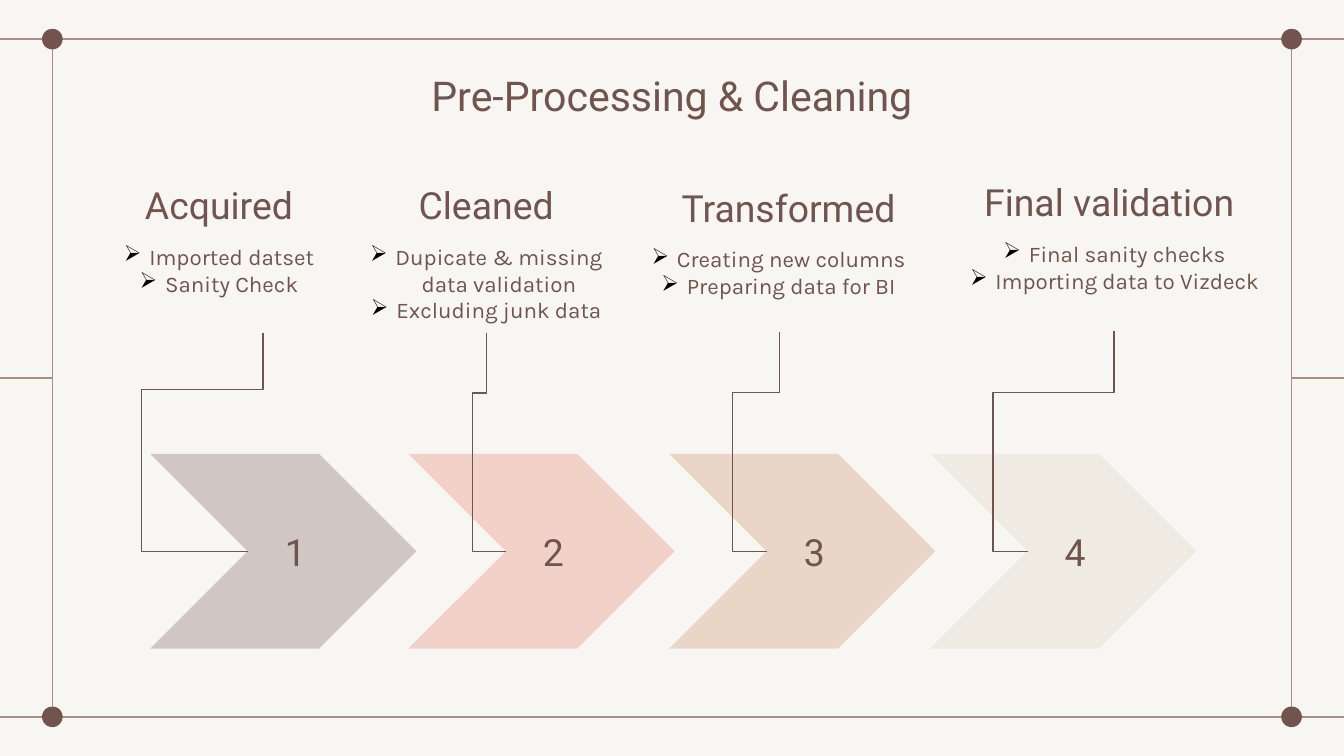
from dataclasses import dataclass

from lxml import etree
from pptx import Presentation
from pptx import util as u
from pptx.dml.color import RGBColor
from pptx.enum import shapes, text
from pptx.oxml import ns


@dataclass(frozen=True)
class Theme:
    ground: str = "F8F6F2"
    ink: str = "70544D"
    frame: str = "A78D84"
    bullet: str = "000000"
    heading_font: str = "Roboto"
    body_font: str = "Karla"
    title_size: int = 22
    heading_size: int = 20
    body_size: int = 12
    line_width: float = 0.75
    inset: float = 0.25
    indent: float = 0.48


@dataclass(frozen=True)
class Stage:
    heading: str
    items: tuple
    heading_box: tuple
    body_box: tuple
    chevron_left: float
    color: str
    route: tuple


class Painter:
    def __init__(self, page, theme):
        self.page = page
        self.theme = theme
        page.background.fill.solid()
        page.background.fill.fore_color.rgb = RGBColor.from_string(theme.ground)

    def stroke(self, connector, color):
        connector.line.color.rgb = RGBColor.from_string(color)
        connector.line.width = u.Pt(self.theme.line_width)
        etree.SubElement(connector._element.spPr, ns.qn("a:effectLst"))

    def line(self, x1, y1, x2, y2):
        connector = self.page.shapes.add_connector(
            shapes.MSO_CONNECTOR.STRAIGHT, u.Cm(x1), u.Cm(y1), u.Cm(x2), u.Cm(y2))
        self.stroke(connector, self.theme.frame)

    def elbow(self, start, turn, end):
        (x1, y1), (turn_x, turn_y), (x2, y2) = start, turn, end
        half_run, half_rise = (y2 - y1) / 2, abs(x2 - x1) / 2
        mid_x, mid_y = (x1 + x2) / 2, (y1 + y2) / 2
        rightward = x2 > x1
        side = -1 if rightward else 1
        connector = self.page.shapes.add_connector(
            shapes.MSO_CONNECTOR.ELBOW,
            u.Cm(mid_x - side * half_run), u.Cm(mid_y - half_rise),
            u.Cm(mid_x + side * half_run), u.Cm(mid_y + half_rise))
        properties = connector._element.spPr
        degrees = 270 if rightward else 90
        properties.find(ns.qn("a:xfrm")).set("rot", str(degrees * 60000))
        geometry = properties.find(ns.qn("a:prstGeom"))
        geometry.set("prst", "bentConnector4")
        guides = geometry.find(ns.qn("a:avLst"))
        if guides is None:
            guides = etree.SubElement(geometry, ns.qn("a:avLst"))
        ratios = (turn_y - y1) / (y2 - y1), (x1 - turn_x) / (x1 - x2)
        for number, ratio in enumerate(ratios, 1):
            etree.SubElement(guides, ns.qn("a:gd"), name=f"adj{number}",
                             fmla=f"val {round(ratio * 100000)}")
        self.stroke(connector, self.theme.ink)

    def shape(self, kind, left, top, width, height, color):
        shape = self.page.shapes.add_shape(
            kind, u.Cm(left), u.Cm(top), u.Cm(width), u.Cm(height))
        shape.shadow.inherit = False
        shape.fill.solid()
        shape.fill.fore_color.rgb = RGBColor.from_string(color)
        shape.line.fill.background()
        return shape

    def dot(self, x, y, size):
        self.shape(shapes.MSO_SHAPE.OVAL, x - size / 2, y - size / 2,
                   size, size, self.theme.ink)

    def chevron(self, left, top, width, height, color, label):
        shape = self.shape(shapes.MSO_SHAPE.CHEVRON, left, top, width, height, color)
        self.fill_text(shape.text_frame, [label], self.theme.heading_font,
                       self.theme.heading_size, text.MSO_ANCHOR.MIDDLE, text.PP_ALIGN.RIGHT)

    def textbox(self, place):
        box = self.page.shapes.add_textbox(*(u.Cm(length) for length in place))
        return box.text_frame

    def heading(self, words, place, size, anchor):
        self.fill_text(self.textbox(place), [words], self.theme.heading_font, size, anchor)

    def bullets(self, items, place):
        self.fill_text(self.textbox(place), items, self.theme.body_font,
                       self.theme.body_size, text.MSO_ANCHOR.TOP, bulleted=True)

    def fill_text(self, frame, lines, font, size, anchor,
                  align=text.PP_ALIGN.CENTER, bulleted=False):
        frame.word_wrap = True
        frame.vertical_anchor = anchor
        frame.margin_left = frame.margin_right = u.Cm(self.theme.inset)
        frame.margin_top = frame.margin_bottom = u.Cm(self.theme.inset)
        for index, words in enumerate(lines):
            para = frame.add_paragraph() if index else frame.paragraphs[0]
            para.text = words
            para.alignment = align
            if bulleted:
                self.mark(para)
            para.font.name = font
            para.font.size = u.Pt(size)
            para.font.color.rgb = RGBColor.from_string(self.theme.ink)

    def mark(self, para):
        properties = para._p.get_or_add_pPr()
        indent = u.Cm(self.theme.indent)
        properties.set("marL", str(indent))
        properties.set("indent", str(-indent))
        color = etree.SubElement(properties, ns.qn("a:buClr"))
        etree.SubElement(color, ns.qn("a:srgbClr"), val=self.theme.bullet)
        etree.SubElement(properties, ns.qn("a:buChar"), char="➢")


WIDTH, HEIGHT = 25.4, 14.29
FRAME_X, FRAME_Y, DOT = 0.99, 0.74, 0.39
CHEVRON_TOP, CHEVRON_WIDTH, CHEVRON_HEIGHT = 8.58, 5.03, 3.68

STAGES = (
    Stage("Acquired", ("Imported datset", "Sanity Check"),
          (1.6, 3.02, 5.08, 1.52), (1.6, 4.34, 5.08, 1.96),
          2.84, "D0C6C3", ((4.97, 6.3), (2.68, 7.36))),
    Stage("Cleaned", ("Dupicate & missing data validation", "Excluding junk data"),
          (6.65, 3.02, 5.08, 1.52), (6.65, 4.34, 5.08, 1.96),
          7.72, "F1D1C8", ((9.19, 6.3), (8.93, 7.43))),
    Stage("Transformed", ("Creating new columns", "Preparing data for BI"),
          (12.01, 3.12, 5.79, 1.47), (12.01, 4.39, 5.41, 1.88),
          12.65, "EAD6C6", ((14.73, 6.27), (13.84, 7.42))),
    Stage("Final validation", ("Final sanity checks", "Importing data to Vizdeck"),
          (18.08, 2.97, 5.77, 1.52), (18.03, 4.29, 6.07, 1.96),
          17.58, "EFEAE2", ((21.05, 6.25), (18.77, 7.42))),
)


def draw_frame(painter):
    columns = FRAME_X, WIDTH - FRAME_X
    rows = FRAME_Y, HEIGHT - FRAME_Y
    for x, edge in zip(columns, (0, WIDTH)):
        painter.line(x, rows[0] + DOT / 2, x, rows[1] - DOT / 2)
        painter.line(min(x, edge), HEIGHT / 2, max(x, edge), HEIGHT / 2)
    for y in rows:
        painter.line(0, y, WIDTH, y)
        for x in columns:
            painter.dot(x, y, DOT)


def main():
    deck = Presentation()
    deck.slide_width, deck.slide_height = u.Cm(WIDTH), u.Cm(HEIGHT)
    theme = Theme()
    painter = Painter(deck.slides.add_slide(deck.slide_layouts[6]), theme)
    draw_frame(painter)
    painter.heading("Pre-Processing & Cleaning", (2, 1.09, 21.4, 1.6),
                    theme.title_size, text.MSO_ANCHOR.TOP)
    for number, stage in enumerate(STAGES, 1):
        painter.chevron(stage.chevron_left, CHEVRON_TOP, CHEVRON_WIDTH,
                        CHEVRON_HEIGHT, stage.color, str(number))
    for stage in STAGES:
        notch = (stage.chevron_left + CHEVRON_HEIGHT / 2,
                 CHEVRON_TOP + CHEVRON_HEIGHT / 2)
        painter.elbow(*stage.route, notch)
        painter.heading(stage.heading, stage.heading_box,
                        theme.heading_size, text.MSO_ANCHOR.BOTTOM)
        painter.bullets(stage.items, stage.body_box)
    deck.save("out.pptx")


if __name__ == "__main__":
    main()
